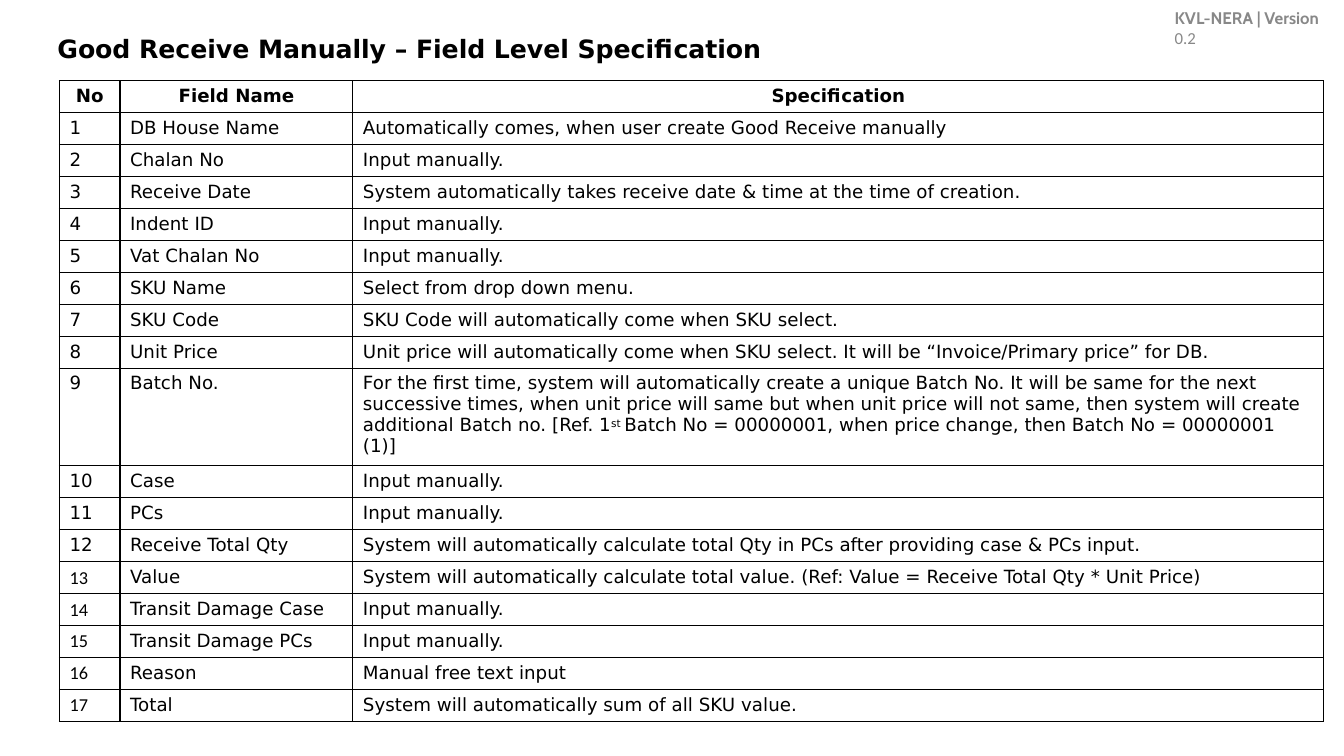
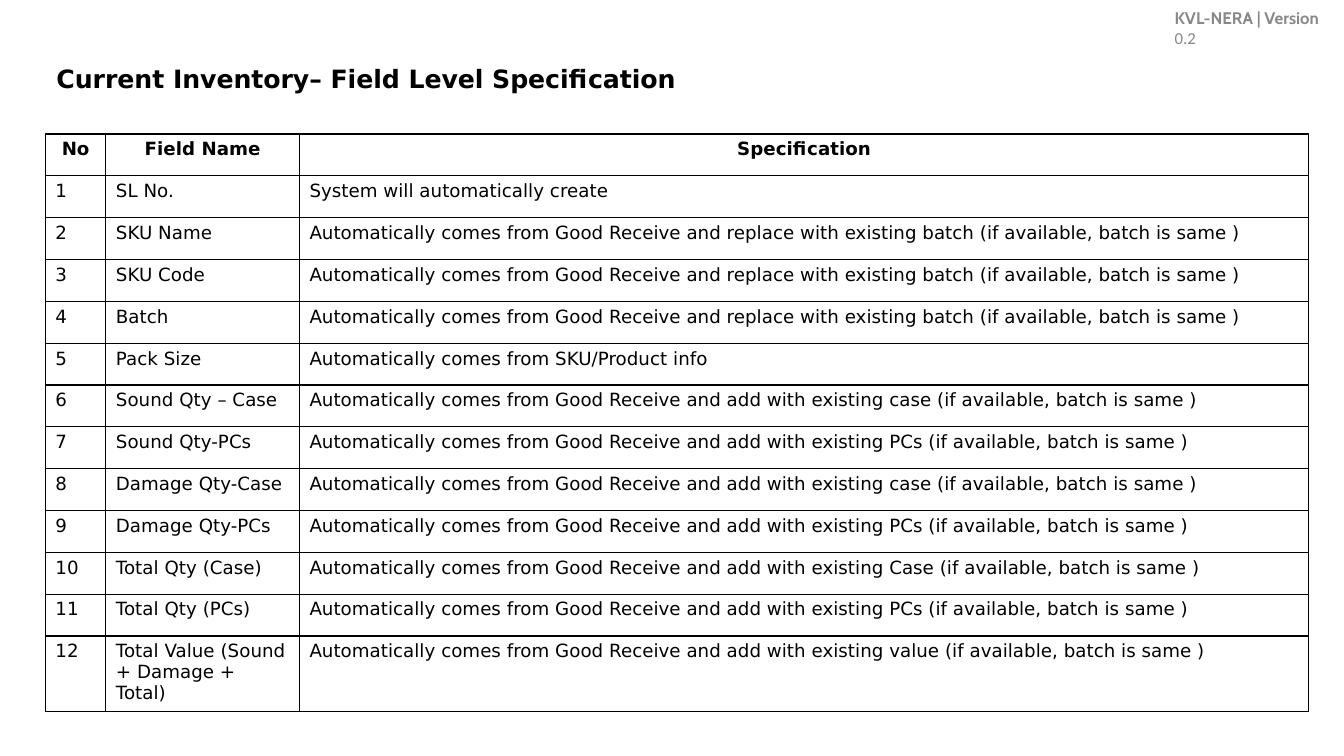
from pptx import Presentation, util as u
from pptx.dml.color import RGBColor
from pptx.enum import text as t
from pptx.oxml import parse_xml
from pptx.oxml.ns import nsdecls

BLACK = RGBColor(0, 0, 0)
GREY = RGBColor(0x88, 0x88, 0x88)
UNIT = u.Inches(0.01)  # the slide is a grid of 1333 by 750 units
WIDE, HIGH = 1333, 750
PAD, TOP = 10, 5

TITLE = dict(name="DejaVu Sans", size=u.Pt(18), bold=True)
HEAD = dict(name="DejaVu Sans", size=u.Pt(13), bold=True)
BODY = dict(HEAD, bold=False)
SMALL = dict(BODY, name="Calibri")
TAG = dict(name="Cabin", size=u.Pt(12), bold=True)
TAIL = dict(TAG, name="Calibri", bold=False)
FRAME = dict(margin_left=UNIT, margin_top=UNIT, margin_right=0, margin_bottom=0,
             word_wrap=True, vertical_anchor=t.MSO_ANCHOR.TOP,
             auto_size=t.MSO_AUTO_SIZE.NONE)
CELL = dict(margin_left=PAD * UNIT, margin_top=TOP * UNIT,
            margin_right=PAD * UNIT, margin_bottom=0)

MANUAL = "Input manually."
RECEIVE = [
    ("DB House Name", "Automatically comes, when user create Good Receive manually"),
    ("Chalan No", MANUAL),
    ("Receive Date",
     "System automatically takes receive date & time at the time of creation."),
    ("Indent ID", MANUAL),
    ("Vat Chalan No", MANUAL),
    ("SKU Name", "Select from drop down menu."),
    ("SKU Code", "SKU Code will automatically come when SKU select."),
    ("Unit Price", "Unit price will automatically come when SKU select. "
     "It will be “Invoice/Primary price” for DB."),
    ("Batch No.", "For the first time, system will automatically create a unique "
     "Batch No. It will be same for the next successive times, when unit price will "
     "same but when unit price will not same, then system will create additional "
     "Batch no. [Ref. 1^st ^Batch No = 00000001, when price change, then "
     "Batch No = 00000001 (1)]"),
    ("Case", MANUAL),
    ("PCs", MANUAL),
    ("Receive Total Qty", "System will automatically calculate total Qty in PCs "
     "after providing case & PCs input."),
    ("Value", "System will automatically calculate total value. "
     "(Ref: Value = Receive Total Qty * Unit Price)"),
    ("Transit Damage Case", MANUAL),
    ("Transit Damage PCs", MANUAL),
    ("Reason", "Manual free text input"),
    ("Total", "System will automatically sum of all SKU value."),
]


def merge(act):
    """Word the rule for a field that is merged with an existing batch."""
    return ("Automatically comes from Good Receive and "
            f"{act} (if available, batch is same )")


SWAP = merge("replace with existing batch")
CASE, PIECE = (merge(f"add with existing {k}") for k in ("case", "PCs"))
STOCK = [
    ("SL No.", "System will automatically create"),
    ("SKU Name", SWAP),
    ("SKU Code", SWAP),
    ("Batch", SWAP),
    ("Pack Size", "Automatically comes from SKU/Product info"),
    ("Sound Qty – Case", CASE),
    ("Sound Qty-PCs", PIECE),
    ("Damage Qty-Case", CASE),
    ("Damage Qty-PCs", PIECE),
    ("Total Qty (Case)", merge("add with existing Case")),
    ("Total Qty (PCs)", PIECE),
    ("Total Value (Sound + Damage + Total)", merge("add with existing value")),
]


def style(item, form):
    """Set each attribute of the item from a dict of format values."""
    for key, val in form.items():
        setattr(item, key, val)


def place(box):
    """Turn grid units into lengths."""
    return [n * UNIT for n in box]


def write(para, words, form, tint=BLACK, gap=7):
    """Add words to a paragraph; parts between carets are raised."""
    for i, part in enumerate(words.split("^")):
        run = para.add_run()
        run.text = part
        style(run.font, form)
        run.font.color.rgb = tint
        prop = run.font._element
        prop.set("spc", str(gap))
        if i % 2:
            prop.set("baseline", "26000")


def edge(cell):
    """Draw thin black borders around a cell and leave it unfilled."""
    prop = cell._tc.get_or_add_tcPr()
    for side in "LRTB":
        prop.append(parse_xml(
            f'<a:ln{side} {nsdecls("a")} w="12700"><a:solidFill>'
            f'<a:srgbClr val="{BLACK}"/></a:solidFill></a:ln{side}>'))
    cell.fill.background()


def tag(slide, box):
    """Place the version tag in the corner."""
    frame = slide.shapes.add_textbox(*place(box)).text_frame
    style(frame, FRAME)
    para = frame.paragraphs[0]
    write(para, "KVL-NERA | Version ", TAG, GREY, 0)
    write(para, "0.2", TAIL, GREY)


def title(slide, box, words):
    """Move the title placeholder into its box and fill it."""
    shape = slide.shapes.title
    style(shape, dict(zip(("left", "top", "width", "height"), place(box))))
    style(shape.text_frame, FRAME)
    para = shape.text_frame.paragraphs[0]
    para.alignment = t.PP_ALIGN.LEFT
    write(para, words, TITLE, gap=-5)


def grid(slide, box, cols, fields, tall, high, small):
    """Fill a box with a field table; one row is taller than the even rest.

    Numbers from small onwards are set in the small face."""
    rows = [("No", "Field Name", "Specification")]
    rows += [(str(n), *pair) for n, pair in enumerate(fields, 1)]
    table = slide.shapes.add_table(len(rows), len(cols), *place(box)).table
    style(table, dict(first_row=False, horz_banding=False))
    for col, wide in zip(table.columns, cols):
        col.width = wide * UNIT
    even = int((box[3] - high) * UNIT / (len(rows) - 1))
    for r, row in enumerate(rows):
        table.rows[r].height = high * UNIT if r == tall else even
        for c, words in enumerate(row):
            cell = table.cell(r, c)
            style(cell, CELL)
            edge(cell)
            para = cell.text_frame.paragraphs[0]
            if r == 0:
                para.alignment = t.PP_ALIGN.CENTER
            form = HEAD if r == 0 else SMALL if c == 0 and r >= small else BODY
            write(para, words, form)


def sheet(deck, name, spot, box, cols, fields, tall, high, small=99):
    """Build one field specification slide."""
    slide = deck.slides.add_slide(deck.slide_layouts[5])
    tag(slide, (1164, 7, 160, 23))
    title(slide, spot, name)
    grid(slide, box, cols, fields, tall, high, small)


deck = Presentation()
deck.slide_width, deck.slide_height = WIDE * UNIT, HIGH * UNIT
sheet(deck, "Good Receive Manually – Field Level Specification",
      (56, 32, 710, 33), (59, 80, 1254, 636), (60, 231, 963), RECEIVE,
      tall=9, high=97, small=13)
sheet(deck, "Current Inventory– Field Level Specification",
      (55, 62, 630, 33), (45, 133, 1254, 573), (60, 192, 1001), STOCK,
      tall=12, high=75)
deck.save("out.pptx")
